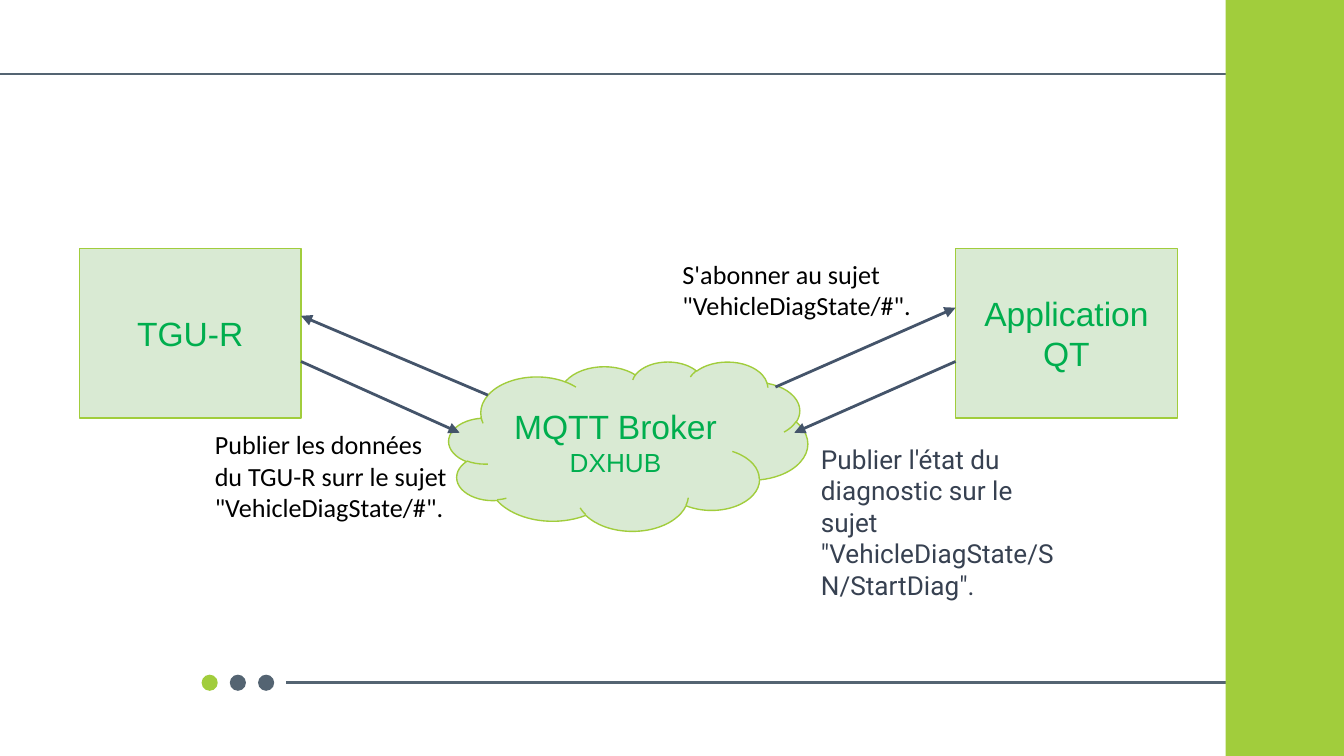
"""Builds a slide showing how a broker links a device and an application."""
from dataclasses import dataclass

from lxml import etree
from pptx import Presentation
from pptx.dml.color import RGBColor
from pptx.enum.shapes import MSO_CONNECTOR, MSO_SHAPE
from pptx.enum.text import MSO_ANCHOR, MSO_AUTO_SIZE, PP_ALIGN
from pptx.oxml.ns import qn
from pptx.util import Inches, Pt

STRAIGHT = MSO_CONNECTOR.STRAIGHT
RECTANGLE = MSO_SHAPE.RECTANGLE
OVAL = MSO_SHAPE.OVAL
CLOUD = MSO_SHAPE.CLOUD
MIDDLE = MSO_ANCHOR.MIDDLE
CENTER = PP_ALIGN.CENTER
GROW = MSO_AUTO_SIZE.SHAPE_TO_FIT_TEXT
BLANK_LAYOUT = 6
SLIDE_WIDTH = 10
SLIDE_HEIGHT = SLIDE_WIDTH * 9 / 16


@dataclass(frozen=True)
class Theme:
    green: str = "A1CD3C"
    slate: str = "546472"
    arrow: str = "44546A"
    node_fill: str = "D9EAD3"
    node_text: str = "00AE4E"
    black: str = "000000"
    grey: str = "374151"
    node_font: str = "Arial"
    label_font: str = "Calibri"
    request_font: str = "Roboto"
    large: int = 18
    small: int = 14
    stroke: float = 1.5
    outline: float = 0.75


THEME = Theme()


def color(code):
    return RGBColor.from_string(code)


def set_font(paragraph, name, size, code):
    paragraph.font.name = name
    paragraph.font.size = Pt(size)
    paragraph.font.color.rgb = color(code)


def set_margins(frame, top=0.1):
    frame.word_wrap = True
    frame.margin_left = frame.margin_right = frame.margin_bottom = Inches(0.1)
    frame.margin_top = Inches(top)


def add_shape(slide, kind, area, fill, outline=None):
    shape = slide.shapes.add_shape(kind, *map(Inches, area))
    shape.shadow.inherit = False
    shape.fill.solid()
    shape.fill.fore_color.rgb = color(fill)
    if outline:
        shape.line.color.rgb = color(outline)
        shape.line.width = Pt(THEME.outline)
    else:
        shape.line.fill.background()
    return shape


def add_line(slide, start, end, code, arrow=False):
    line = slide.shapes.add_connector(STRAIGHT, *map(Inches, (*start, *end)))
    line.line.color.rgb = color(code)
    line.line.width = Pt(THEME.stroke)
    properties = line._element.spPr
    if arrow:
        etree.SubElement(properties.find(qn("a:ln")), qn("a:tailEnd"), type="triangle")
    etree.SubElement(properties, qn("a:effectLst"))


def add_node(slide, kind, area, *lines):
    """Adds a shape with centred lines, each a (text, size) pair."""
    frame = add_shape(slide, kind, area, THEME.node_fill, THEME.green).text_frame
    set_margins(frame)
    frame.vertical_anchor = MIDDLE
    for index, (text, size) in enumerate(lines):
        paragraph = frame.add_paragraph() if index else frame.paragraphs[0]
        paragraph.text = text
        paragraph.alignment = CENTER
        set_font(paragraph, THEME.node_font, size, THEME.node_text)


def add_label(slide, area, text, font, code, top=0.1):
    frame = slide.shapes.add_textbox(*map(Inches, area)).text_frame
    set_margins(frame, top)
    frame.auto_size = GROW
    frame.text = text
    set_font(frame.paragraphs[0], font, THEME.small, code)


def add_frame(slide):
    """Adds the rules, the three dots and the side band."""
    add_line(slide, (0, 0.55), (9.36, 0.55), THEME.slate)
    add_line(slide, (2.13, 5.08), (9.22, 5.08), THEME.slate)
    for index, fill in enumerate((THEME.green, THEME.slate, THEME.slate)):
        add_shape(slide, OVAL, (1.5 + 0.21 * index, 5.02, 0.12, 0.12), fill)
    add_shape(slide, RECTANGLE, (9.12, 0, 0.88, SLIDE_HEIGHT), THEME.green)


def add_nodes(slide):
    large, small = THEME.large, THEME.small
    add_node(slide, CLOUD, (3.34, 2.69, 2.67, 1.26),
             ("MQTT Broker", large), ("DXHUB", small))
    add_node(slide, RECTANGLE, (0.59, 1.85, 1.65, 1.26), ("TGU-R", large))
    add_node(slide, RECTANGLE, (7.11, 1.85, 1.65, 1.26),
             ("Application", large), ("QT", large))


def add_messages(slide):
    for start, end in (
        ((2.24, 2.69), (3.42, 3.22)),
        ((3.63, 2.94), (2.24, 2.35)),
        ((5.77, 2.88), (7.11, 2.29)),
        ((7.11, 2.69), (5.91, 3.22)),
    ):
        add_line(slide, start, end, THEME.arrow, arrow=True)
    add_label(slide, (4.98, 1.82, 2.04, 0.67),
              "S'abonner au sujet \"VehicleDiagState/#\".",
              THEME.label_font, THEME.black)
    add_label(slide, (1.5, 2.85, 1.94, 1.14),
              "Publier les données du TGU-R surr le sujet \"VehicleDiagState/#\".",
              THEME.label_font, THEME.black, top=0.34)
    add_label(slide, (6.01, 3.2, 2.02, 1.14),
              "Publier l'état du diagnostic sur le sujet "
              "\"VehicleDiagState/SN/StartDiag\".",
              THEME.request_font, THEME.grey)


def main():
    deck = Presentation()
    deck.slide_width, deck.slide_height = Inches(SLIDE_WIDTH), Inches(SLIDE_HEIGHT)
    slide = deck.slides.add_slide(deck.slide_layouts[BLANK_LAYOUT])
    add_frame(slide)
    add_nodes(slide)
    add_messages(slide)
    deck.save("out.pptx")


if __name__ == "__main__":
    main()
